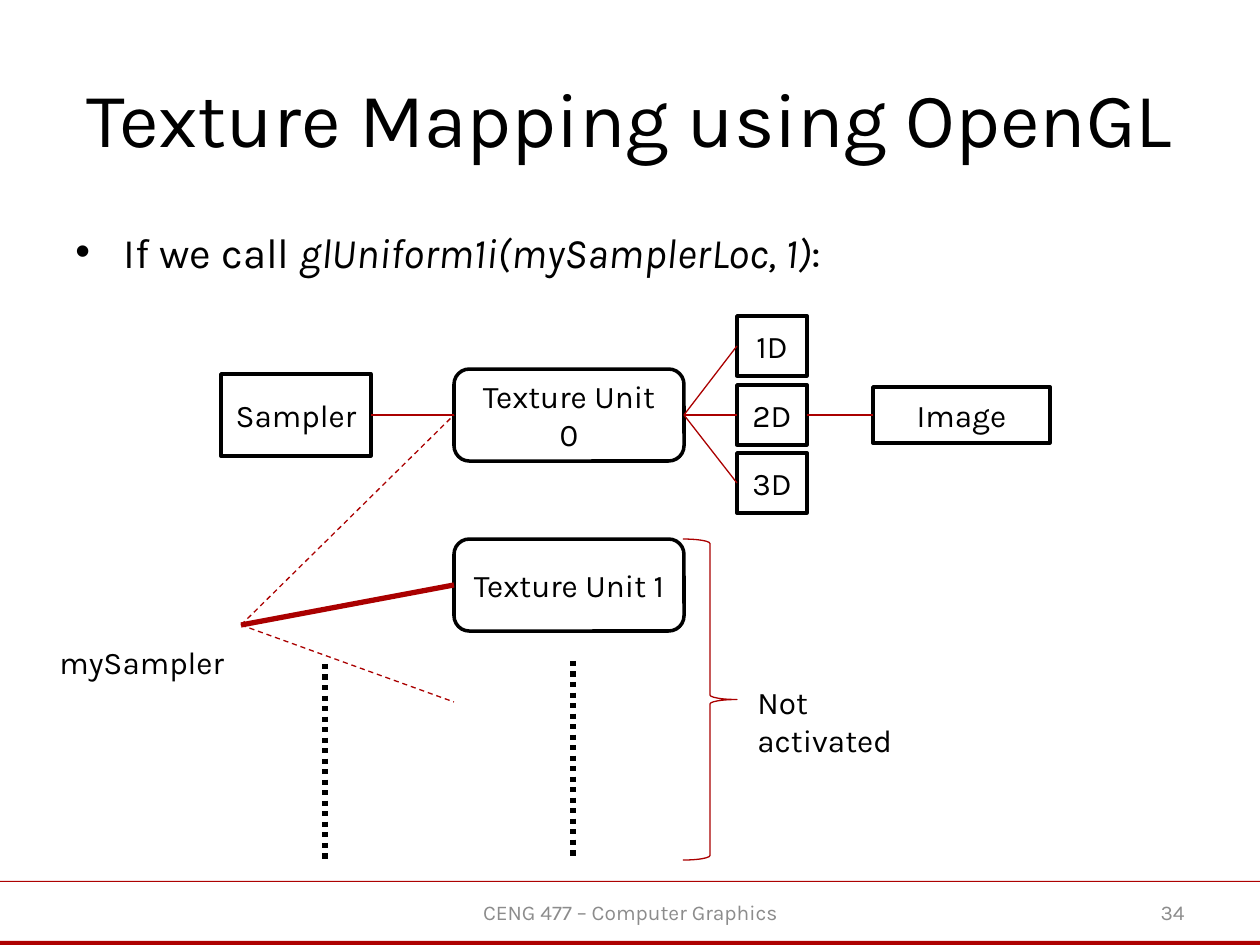
from dataclasses import dataclass

from lxml import etree
from pptx import Presentation
from pptx.dml.color import RGBColor
from pptx.enum.dml import MSO_LINE
from pptx.enum.shapes import MSO_CONNECTOR, MSO_SHAPE
from pptx.enum.text import MSO_ANCHOR, PP_ALIGN
from pptx.oxml.ns import qn
from pptx.util import Emu, Pt

RECT = MSO_SHAPE.RECTANGLE
ROUND = MSO_SHAPE.ROUNDED_RECTANGLE
BRACE = MSO_SHAPE.RIGHT_BRACE
STRAIGHT = MSO_CONNECTOR.STRAIGHT
DASH, DOT = MSO_LINE.DASH, MSO_LINE.ROUND_DOT
LEFT, CENTER, RIGHT = PP_ALIGN.LEFT, PP_ALIGN.CENTER, PP_ALIGN.RIGHT
TOP, MIDDLE = MSO_ANCHOR.TOP, MSO_ANCHOR.MIDDLE
LEFT_SITE, RIGHT_SITE = 1, 3
PX = 914400 / 126


@dataclass(frozen=True)
class Theme:
    font: str = "Karla"
    ink: str = "000000"
    paper: str = "FFFFFF"
    accent: str = "AA0000"
    rule: str = "AD0101"
    muted: str = "8C8C8C"
    title: int = 44
    body: int = 24
    label: int = 18
    footer: int = 12
    thin: float = 0.75
    border: float = 2
    thick: float = 3


def px(*lengths):
    return [Emu(round(n * PX)) for n in lengths]


def rgb(value):
    return RGBColor.from_string(value)


class Deck:
    def __init__(self, theme):
        self.theme = theme
        self.prs = Presentation()
        self.prs.slide_width, self.prs.slide_height = px(1260, 945)
        self.s = self.prs.slides.add_slide(self.prs.slide_layouts[6])

    def fill_text(self, tf, runs, size, color, align, anchor):
        tf.word_wrap = True
        tf.vertical_anchor = anchor
        p = tf.paragraphs[0]
        p.alignment = align
        for text, italic in runs:
            r = p.add_run()
            r.text = text
            r.font.name = self.theme.font
            r.font.size = Pt(size)
            r.font.italic = italic
            r.font.color.rgb = rgb(color)
        return p

    def text(self, box, runs, size, color=None, align=LEFT, anchor=TOP):
        tf = self.s.shapes.add_textbox(*px(*box)).text_frame
        return self.fill_text(tf, runs, size, color or self.theme.ink, align, anchor)

    def bullet(self, box, runs, size, indent):
        pPr = self.text(box, runs, size)._p.get_or_add_pPr()
        margin, = px(indent)
        pPr.set("marL", str(margin))
        pPr.set("indent", str(-margin))
        etree.SubElement(pPr, qn("a:buFont")).set("typeface", "Arial")
        etree.SubElement(pPr, qn("a:buChar")).set("char", "•")

    def shape(self, kind, box, fill=None, line=None, width=0):
        sp = self.s.shapes.add_shape(kind, *px(*box))
        sp.shadow.inherit = False
        if fill:
            sp.fill.solid()
            sp.fill.fore_color.rgb = rgb(fill)
        else:
            sp.fill.background()
        if line:
            sp.line.color.rgb = rgb(line)
            sp.line.width = Pt(width)
        else:
            sp.line.fill.background()
        return sp

    def node(self, kind, box, label):
        t = self.theme
        sp = self.shape(kind, box, t.paper, t.ink, t.border)
        self.fill_text(sp.text_frame, [(label, False)], t.label, t.ink, CENTER, MIDDLE)
        return sp

    def line(self, start, end, color, width, dash=None):
        cx = self.s.shapes.add_connector(STRAIGHT, *px(*start, *end))
        cx.line.color.rgb = rgb(color)
        cx.line.width = Pt(width)
        if dash:
            cx.line.dash_style = dash
        etree.SubElement(cx._element.spPr, qn("a:effectLst"))
        return cx

    def link(self, source, target):
        cx = self.line((0, 0), (0, 0), self.theme.accent, self.theme.thin)
        cx.begin_connect(source, RIGHT_SITE)
        cx.end_connect(target, LEFT_SITE)


def main():
    t = Theme()
    deck = Deck(t)

    for top, height in ((881, 1), (941, 4)):
        deck.shape(RECT, (0, top, 1260, height), t.rule)
    deck.text((63, 38, 1134, 157), [("Texture Mapping using OpenGL", False)],
              t.title, align=CENTER, anchor=MIDDLE)
    call = [("If we call ", False), ("glUniform1i(mySamplerLoc, 1)", True), (":", False)]
    deck.bullet((63, 220, 1134, 624), call, t.body, 48)
    for box, label, align in (((431, 887, 399, 50), "CENG 477 – Computer Graphics", CENTER),
                              ((903, 887, 294, 50), "34", RIGHT)):
        deck.text(box, [(label, False)], t.footer, t.muted, align, MIDDLE)

    units = [deck.node(ROUND, (454, 369 + 170 * i, 230, 92), f"Texture Unit {i}")
             for i in range(2)]
    targets = [deck.node(RECT, (737, top, 70, 60), label)
               for top, label in ((316, "1D"), (385, "2D"), (453, "3D"))]
    sampler = deck.node(RECT, (221, 374, 150, 82), "Sampler")
    image = deck.node(RECT, (873, 387, 177, 56), "Image")

    deck.link(sampler, units[0])
    for target in targets:
        deck.link(units[0], target)
    deck.link(targets[1], image)

    deck.shape(BRACE, (683, 539, 54, 321), line=t.accent, width=t.thin)
    for box, label in (((745, 677, 210, 87), "Not activated"),
                       ((47, 637, 195, 50), "mySampler")):
        deck.text(box, [(label, False)], t.label)

    origin = (241, 625)
    for unit, width, dash in zip(units, (t.thin, t.thick), (DASH, None)):
        cx = deck.line(origin, origin, t.accent, width, dash)
        cx.end_connect(unit, LEFT_SITE)
    deck.line(origin, (454, 702), t.accent, t.thin, DASH)
    for x, top in ((573, 661), (325, 664)):
        deck.line((x, top), (x, top + 199), t.ink, t.thick, DOT)

    deck.prs.save("out.pptx")


if __name__ == "__main__":
    main()
